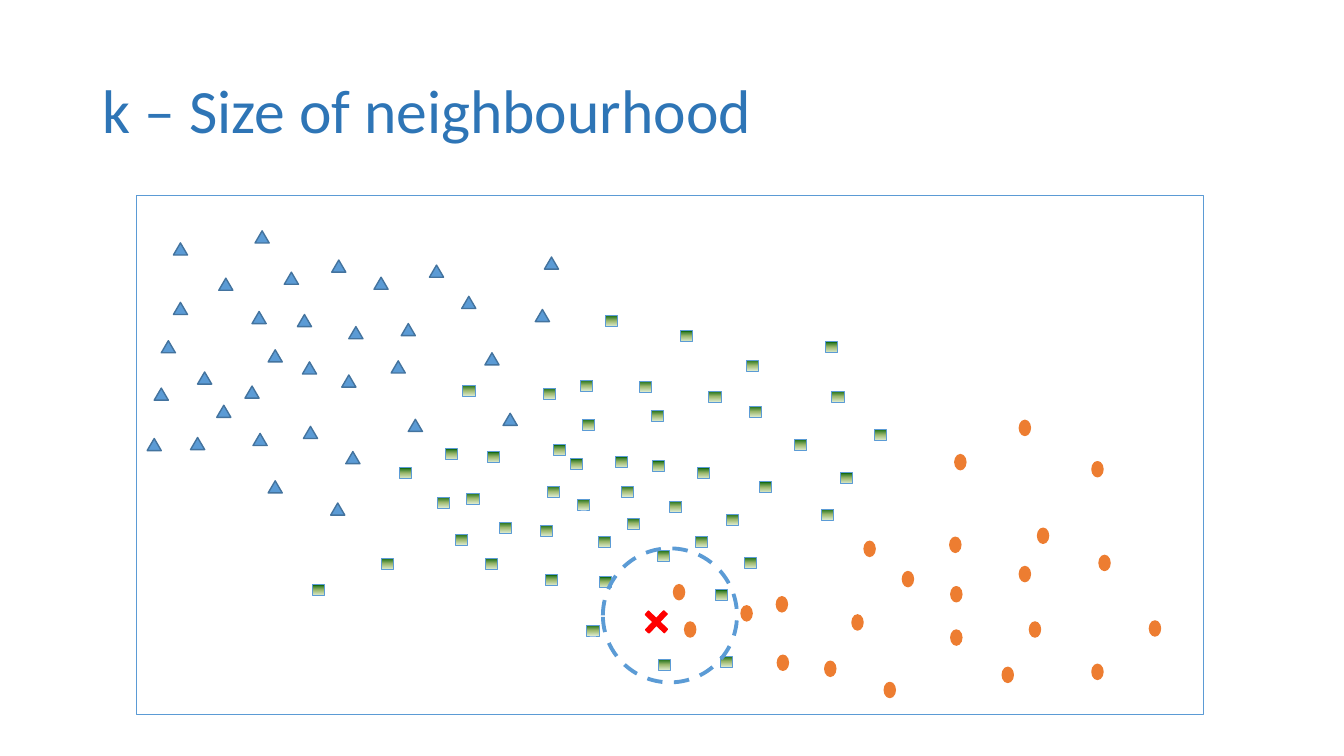
from copy import deepcopy

from pptx import Presentation
from pptx import util as u
from pptx.dml.color import RGBColor
from pptx.enum import dml, shapes, text
from pptx.oxml.ns import qn

PX = 9144  # EMU per px, 100 px to the inch
KIND = shapes.MSO_SHAPE
BLUE, ORANGE = "5B9BD5", "ED7D31"
FADE = ["DDEBCF", "9CB86E", "156B13"]

# Marker styles: shape, width, height, fill, line colour, line format
GREEN = (KIND.RECTANGLE, 12, 11, FADE, BLUE, {"width": u.Pt(0.5)})
TRI = (KIND.ISOSCELES_TRIANGLE, 14, 12, BLUE, "43739E", {"width": u.Pt(1)})
DOT = (KIND.OVAL, 11, 15, ORANGE, ORANGE, {"width": u.Pt(1)})
RING = (KIND.OVAL, 133, 133, None, BLUE,
        {"width": u.Pt(2.75), "dash_style": dml.MSO_LINE.DASH})
FRAME = (KIND.RECTANGLE, 1059, 515, None, BLUE, {"width": u.Pt(0.5)})
CROSS = (KIND.CROSS, 26, 26, "FF0000", "FF0000", {"width": u.Pt(1)})

# Left and top of each data point
GREENS = [
    (543, 482), (536, 521), (495, 518), (566, 455), (622, 514), (709, 585),
    (616, 482), (541, 570), (463, 489), (483, 448), (481, 554), (610, 453),
    (549, 441), (594, 572), (452, 530), (442, 445), (434, 493), (578, 416),
    (652, 546), (692, 464), (664, 497), (647, 457), (646, 407), (378, 554),
    (819, 339), (690, 532), (573, 495), (593, 532), (738, 553), (675, 328),
    (753, 478), (310, 580), (833, 469), (720, 510), (743, 403), (867, 426),
    (396, 464), (815, 505), (788, 436), (459, 382), (576, 377), (539, 385),
    (634, 378), (600, 313), (582, 620), (703, 388), (653, 654), (825, 388),
    (714, 651), (740, 357),
]
TRIS = [
    (217, 276), (172, 300), (250, 309), (160, 338), (481, 350), (282, 270),
    (172, 241), (243, 383), (196, 369), (266, 347), (253, 229), (153, 385),
    (301, 423), (346, 324), (146, 435), (295, 312), (215, 402), (189, 434),
    (251, 430), (339, 372), (329, 258), (266, 477), (328, 499), (371, 275),
    (300, 359), (343, 448), (405, 416), (398, 321), (426, 263), (458, 294),
    (388, 358), (540, 255), (531, 307), (499, 410),
]
DOTS = [
    (943, 582), (1011, 417), (943, 625), (1140, 616), (735, 601), (1011, 562),
    (770, 592), (895, 567), (1021, 617), (771, 650), (994, 662), (679, 617),
    (1083, 659), (1090, 551), (845, 610), (942, 533), (1029, 524), (668, 580),
    (818, 656), (1083, 458), (857, 537), (947, 451), (877, 677),
]


def color(code):
    return RGBColor.from_string(code)


def apply(obj, fmt):
    for key, val in fmt.items():
        setattr(obj, key, val)


def fade(shape, codes):
    """Upward gradient with evenly spaced stops."""
    fill = shape.fill
    fill.gradient()
    fill.gradient_angle = 90
    stops = shape.element.spPr.find(".//" + qn("a:gsLst"))
    for _ in codes[2:]:
        stops.insert(1, deepcopy(stops[0]))
    for i, (stop, code) in enumerate(zip(fill.gradient_stops, codes)):
        stop.position = i / (len(codes) - 1)
        stop.color.rgb = color(code)


def mark(slide, style, left, top):
    kind, wide, high, paint, edge, fmt = style
    box = [n * PX for n in (left, top, wide, high)]
    shape = slide.shapes.add_shape(kind, *box)
    shape.shadow.inherit = False
    if paint is None:
        shape.fill.background()
    elif isinstance(paint, list):
        fade(shape, paint)
    else:
        shape.fill.solid()
        shape.fill.fore_color.rgb = color(paint)
    shape.line.color.rgb = color(edge)
    apply(shape.line, fmt)
    return shape


def title(slide, words):
    box = slide.shapes.add_textbox(*[n * PX for n in (92, 40, 1150, 145)])
    frame = box.text_frame
    apply(frame, {"word_wrap": True, "vertical_anchor": text.MSO_ANCHOR.MIDDLE})
    para = frame.paragraphs[0]
    para.line_spacing = 0.9
    run = para.add_run()
    run.text = words
    apply(run.font, {"name": "Calibri", "size": u.Pt(44)})
    run.font.color.rgb = color("2E75B6")


def main():
    deck = Presentation()
    apply(deck, {"slide_width": 1333 * PX, "slide_height": 750 * PX})
    slide = deck.slides.add_slide(deck.slide_layouts[6])
    title(slide, "k – Size of neighbourhood")

    # Green class, then the neighbourhood and the plot frame
    for spot in GREENS:
        mark(slide, GREEN, *spot)
    mark(slide, RING, 598, 544)
    mark(slide, FRAME, 135, 194)

    # Blue and orange classes
    for style, spots in ((TRI, TRIS), (DOT, DOTS)):
        for spot in spots:
            mark(slide, style, *spot)

    # Query point
    query = mark(slide, CROSS, 638, 604)
    query.adjustments[0] = 0.411
    query.rotation = 43.7

    deck.save("out.pptx")


if __name__ == "__main__":
    main()
